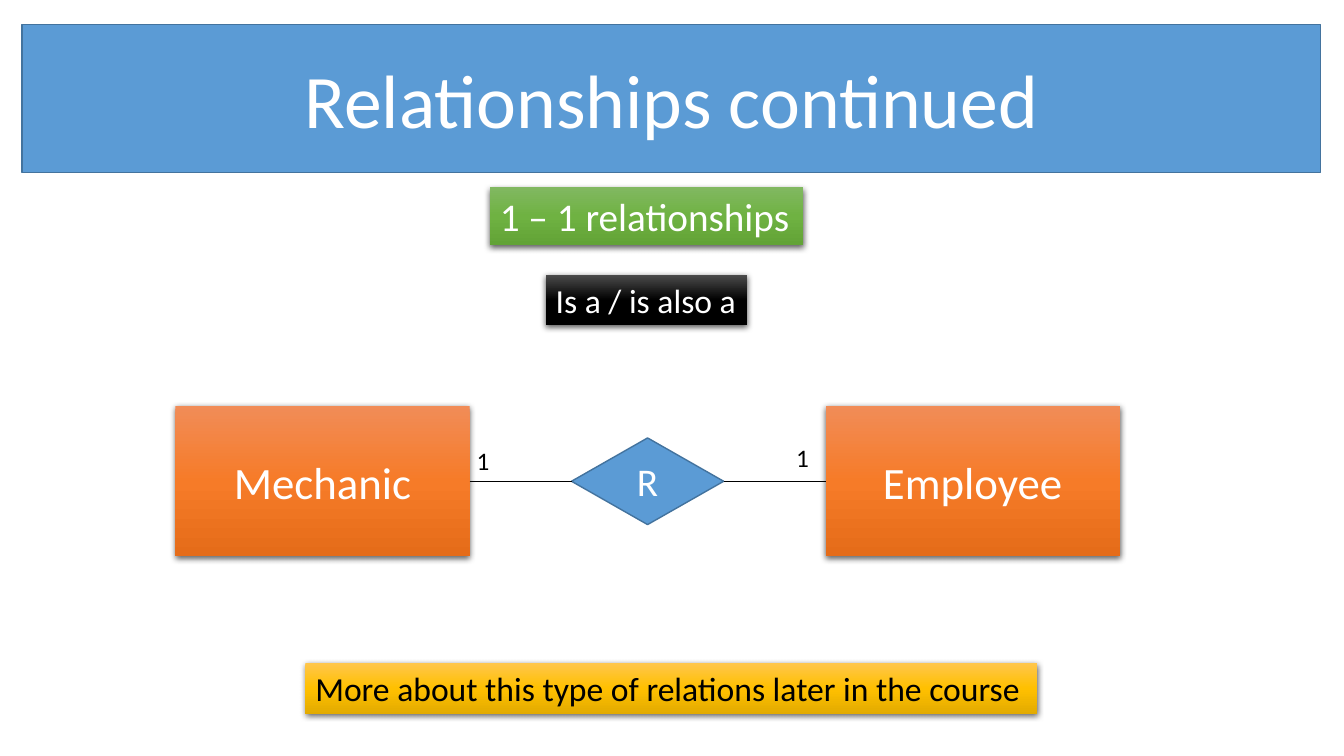
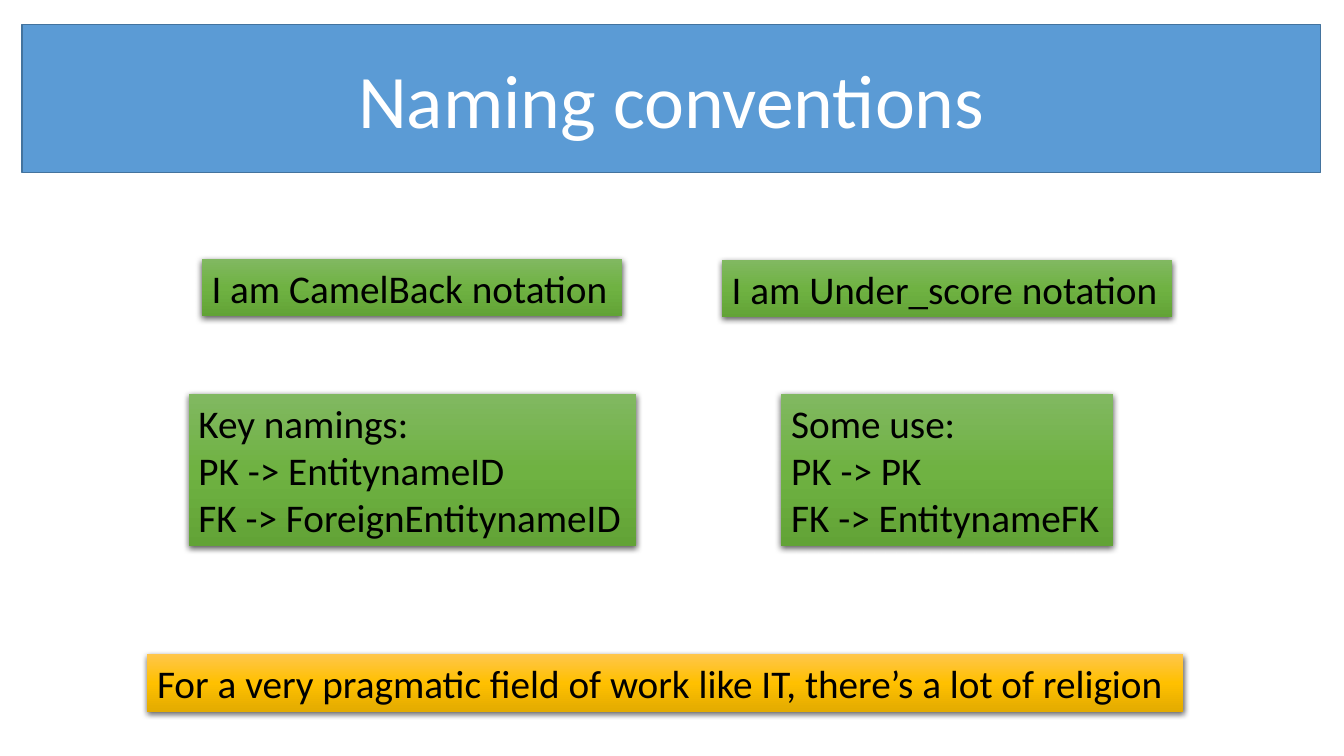
from copy import deepcopy
from dataclasses import dataclass
from typing import Optional

from lxml import etree
from pptx import Presentation
from pptx import util as u
from pptx.dml.color import RGBColor
from pptx.enum import shapes, text
from pptx.oxml.ns import qn

WIDE, HIGH = u.Inches(13.33), u.Inches(7.5)
COL, ROW = WIDE / 40, HIGH / 30
FONT = "Calibri"
WHITE = RGBColor(0xFF, 0xFF, 0xFF)
BLACK = RGBColor(0, 0, 0)
BLUE = RGBColor(0x5B, 0x9B, 0xD5)
NAVY = RGBColor(0x43, 0x73, 0x9E)
GREEN = (RGBColor(0x81, 0xB8, 0x61), RGBColor(0x6F, 0xB2, 0x42), RGBColor(0x62, 0xA3, 0x36))
ORANGE = (RGBColor(0xF1, 0x8C, 0x57), RGBColor(0xF6, 0x7B, 0x28), RGBColor(0xE5, 0x6C, 0x19))
GOLD = (RGBColor(0xFF, 0xC6, 0x4B), RGBColor(0xFF, 0xC0, 0x00), RGBColor(0xE3, 0xAB, 0x00))
COAL = (RGBColor(0x4B, 0x4B, 0x4B), BLACK, BLACK)
RECT = shapes.MSO_SHAPE.RECTANGLE
LEFT, RIGHT = 1, 3


@dataclass(frozen=True)
class Area:
    col: float
    row: float
    cols: float
    rows: float

    def place(self) -> tuple[int, int, int, int]:
        return (round(self.col * COL), round(self.row * ROW),
                round(self.cols * COL), round(self.rows * ROW))


@dataclass(frozen=True)
class Card:
    words: str
    area: Area
    tones: tuple[RGBColor, RGBColor, RGBColor]
    size: int = 28
    ink: RGBColor = BLACK
    fit: bool = True


BAND = Area(0.66, 0.96, 38.64, 5.88)


def write(shape, words: str, *, size: int, ink: RGBColor, fit: bool = False) -> None:
    frame = shape.text_frame
    frame.text = words
    frame.word_wrap = not fit
    frame.auto_size = text.MSO_AUTO_SIZE.SHAPE_TO_FIT_TEXT if fit else text.MSO_AUTO_SIZE.NONE
    frame.vertical_anchor = text.MSO_ANCHOR.TOP if fit else text.MSO_ANCHOR.MIDDLE
    for line in frame.paragraphs:
        line.alignment = text.PP_ALIGN.LEFT if fit else text.PP_ALIGN.CENTER
        for run in line.runs:
            run.font.name = FONT
            run.font.size = u.Pt(size)
            run.font.color.rgb = ink


def paint(shape) -> None:
    shape.fill.solid()
    shape.fill.fore_color.rgb = BLUE
    shape.line.color.rgb = NAVY
    shape.line.width = u.Pt(1)


def shade(shape, tones: tuple[RGBColor, RGBColor, RGBColor]) -> None:
    fill = shape.fill
    fill.gradient()
    fill.gradient_angle = 270
    stops = shape.element.spPr.find(qn("a:gradFill")).find(qn("a:gsLst"))
    stops.insert(1, deepcopy(stops[0]))
    for stop, tone, spot in zip(fill.gradient_stops, tones, (0, 0.5, 1)):
        stop.color.rgb = tone
        stop.position = spot


def lift(shape) -> None:
    shape.shadow.inherit = False
    glow = shape.element.spPr.find(qn("a:effectLst"))
    drop = etree.SubElement(glow, qn("a:outerShdw"), blurRad=str(u.Pt(4.5)),
                            dist=str(u.Pt(1.5)), dir="5400000",
                            algn="ctr", rotWithShape="0")
    tone = etree.SubElement(drop, qn("a:srgbClr"), val=str(BLACK))
    etree.SubElement(tone, qn("a:alpha"), val="63000")


def start(deck, words: str):
    slide = deck.slides.add_slide(deck.slide_layouts.get_by_name("Title Only"))
    title = slide.shapes.title
    title.left, title.top, title.width, title.height = BAND.place()
    paint(title)
    write(title, words, size=54, ink=WHITE)
    return slide


def draw(slide, card: Card):
    shape = slide.shapes.add_shape(RECT, *card.area.place())
    shade(shape, card.tones)
    shape.line.fill.background()
    lift(shape)
    write(shape, card.words, size=card.size, ink=card.ink, fit=card.fit)
    return shape


def node(slide, words: str, area: Area):
    shape = slide.shapes.add_shape(shapes.MSO_SHAPE.FLOWCHART_DECISION, *area.place())
    paint(shape)
    shape.shadow.inherit = False
    write(shape, words, size=28, ink=WHITE)
    return shape


def join(slide, head, tail) -> None:
    link = slide.shapes.add_connector(shapes.MSO_CONNECTOR.STRAIGHT, 0, 0, 0, 0)
    link.begin_connect(head, RIGHT)
    link.end_connect(tail, LEFT)
    link.line.color.rgb = BLACK
    link.line.width = u.Pt(0.5)
    etree.SubElement(link.element.spPr, qn("a:effectLst"))


def label(slide, words: str, area: Area) -> None:
    box = slide.shapes.add_textbox(*area.place())
    write(box, words, size=18, ink=BLACK, fit=True)


def relate(deck) -> None:
    slide = start(deck, "Relationships continued")
    draw(slide, Card("1 – 1 relationships", Area(14.58, 7.44, 9.33, 2.28), GREEN, ink=WHITE))
    left, right = (
        draw(slide, Card(name, Area(col, 16.12, 8.76, 5.96), ORANGE, 32, WHITE, False))
        for name, col in (("Mechanic", 5.22), ("Employee", 24.57)))
    draw(slide, Card("Is a / is also a", Area(16.24, 10.92, 6, 2), COAL, 24, WHITE))
    draw(slide, Card("More about this type of relations later in the course",
                     Area(9.09, 26.32, 21.79, 2), GOLD, 24))
    hub = node(slide, "R", Area(17.01, 17.38, 4.53, 3.44))
    join(slide, left, hub)
    join(slide, hub, right)
    for col, row in ((13.89, 17.48), (23.4, 17.36)):
        label(slide, "1", Area(col, row, 1, 1.6))


def naming(deck) -> None:
    slide = start(deck, "Naming conventions")
    for card in (
        Card("I am CamelBack notation", Area(6, 10.28, 12.51, 2.28), GREEN),
        Card("I am Under_score notation", Area(21.48, 10.32, 13.41, 2.28), GREEN),
        Card("Key namings:\nPK -> EntitynameID\nFK -> ForeignEntitynameID",
             Area(5.61, 15.64, 13.32, 6.04), GREEN),
        Card("Some use:\nPK -> PK\nFK -> EntitynameFK",
             Area(23.25, 15.64, 9.87, 6.04), GREEN),
        Card("For a very pragmatic field of work like IT, there’s a lot of religion",
             Area(4.38, 25.96, 30.84, 2.28), GOLD),
    ):
        draw(slide, card)


def main() -> None:
    deck = Presentation()
    deck.slide_width, deck.slide_height = WIDE, HIGH
    relate(deck)
    naming(deck)
    deck.save("out.pptx")


main()
